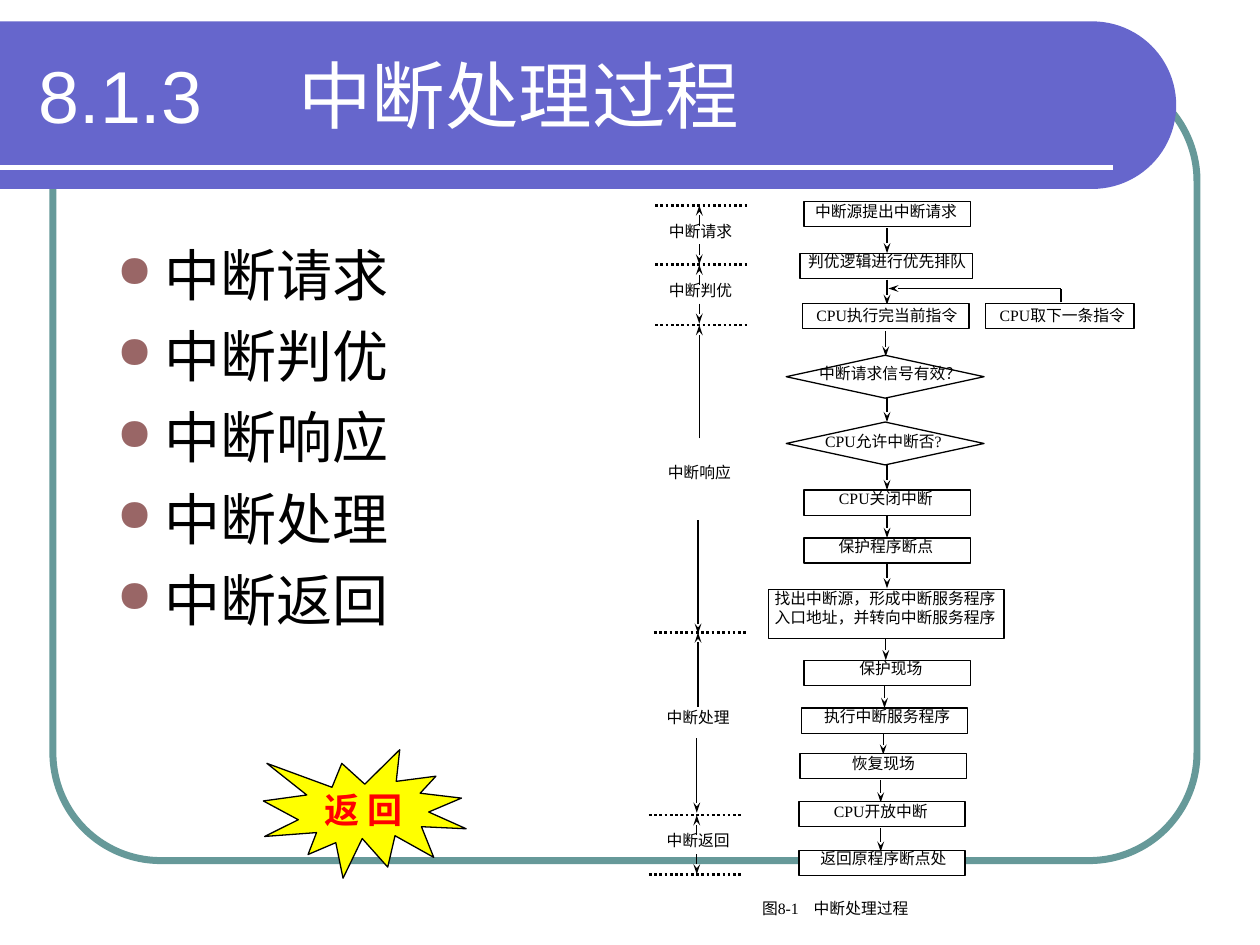
from dataclasses import dataclass
from math import cos, pi, sin

from lxml import etree
from pptx import Presentation
from pptx import util as u
from pptx.dml.color import RGBColor
from pptx.enum import dml, shapes, text
from pptx.oxml import ns

KIND = shapes.MSO_SHAPE
SIDE = text.PP_ALIGN
LEFT, MID, JUST = SIDE.LEFT, SIDE.CENTER, SIDE.JUSTIFY


@dataclass(frozen=True)
class Theme:
    """Colours, fonts and type sizes."""
    band: str = "6666CC"
    frame: str = "669999"
    dot: str = "996666"
    white: str = "FFFFFF"
    black: str = "000000"
    star: str = "FFFF00"
    red: str = "FF0000"
    sans: str = "Arial"
    serif: str = "Times New Roman"
    cjk: str = "Noto Sans CJK SC"
    title: int = 42
    body: int = 32
    back: int = 20
    note: int = 9
    thin: float = 0.75


T = Theme()

BULLETS = ["中断请求", "中断判优", "中断响应", "中断处理", "中断返回"]

# kind, box (left, top, width, height), label, label place (left, top, width), alignment
STEPS = [
    (KIND.RECTANGLE, (6.38, 1.6, 1.32, 0.2), "中断源提出中断请求", (6.37, 1.55, 1.45), JUST),
    (KIND.RECTANGLE, (6.35, 2.01, 1.37, 0.2), "判优逻辑进行优先排队", (6.26, 1.95, 1.56), MID),
    (KIND.RECTANGLE, (6.37, 2.41, 1.32, 0.2), "CPU执行完当前指令", (6.38, 2.38, 1.45), JUST),
    (KIND.RECTANGLE, (7.82, 2.41, 1.18, 0.2), "CPU取下一条指令", (7.77, 2.38, 1.32), MID),
    (KIND.DIAMOND, (6.24, 2.82, 1.57, 0.34), "中断请求信号有效？", (6.25, 2.84, 1.63), MID),
    (KIND.DIAMOND, (6.24, 3.35, 1.57, 0.34), "CPU允许中断否?", (6.45, 3.38, 1.32), JUST),
    (KIND.RECTANGLE, (6.38, 3.89, 1.32, 0.2), "CPU关闭中断", (6.37, 3.83, 1.32), MID),
    (KIND.RECTANGLE, (6.38, 4.27, 1.32, 0.2), "保护程序断点", (6.37, 4.21, 1.32), MID),
    (KIND.RECTANGLE, (6.1, 4.68, 1.87, 0.39), "找出中断源，形成中断服务程序", (6.05, 4.62, 2), JUST),
    (None, None, "入口地址，并转向中断服务程序", (6.05, 4.77, 2.25), JUST),
    (KIND.RECTANGLE, (6.38, 5.24, 1.32, 0.2), "保护现场", (6.41, 5.18, 1.32), MID),
    (KIND.RECTANGLE, (6.36, 5.62, 1.32, 0.2), "执行中断服务程序", (6.38, 5.56, 1.32), MID),
    (KIND.RECTANGLE, (6.35, 5.98, 1.32, 0.2), "恢复现场", (6.35, 5.93, 1.32), MID),
    (KIND.RECTANGLE, (6.34, 6.36, 1.32, 0.2), "CPU开放中断", (6.33, 6.31, 1.32), MID),
    (KIND.RECTANGLE, (6.34, 6.75, 1.32, 0.2), "返回原程序断点处", (6.35, 6.69, 1.32), MID),
]

# x, top, bottom
FLOWS = [
    (7.04, 1.81, 2.01), (7.04, 2.22, 2.42), (7.03, 2.63, 2.83), (7.04, 3.16, 3.35),
    (7.04, 3.69, 3.89), (7.04, 4.08, 4.27), (7.04, 4.47, 4.67), (7.03, 5.06, 5.24),
    (7.02, 5.44, 5.62), (7.01, 5.81, 5.99), (6.99, 6.19, 6.37), (6.99, 6.57, 6.76),
]

# upper x, lower x, top, bottom, arrow length, label top
STAGES = [
    (5.55, 5.55, 1.63, 2.1, 0.16, 1.71),
    (5.55, 5.55, 2.1, 2.57, 0.16, 2.18),
    (5.55, 5.54, 2.58, 5.03, 0.9, 3.62),
    (5.54, 5.53, 5.02, 6.45, 0.59, 5.57),
    (5.53, 5.53, 6.47, 6.94, 0.16, 6.54),
]
TICKS = [(5.2, 1.63), (5.2, 2.1), (5.2, 2.58), (5.19, 5.02), (5.15, 6.47), (5.15, 6.94)]


def node(top, tag, **attrs):
    """Append a drawing element and return it."""
    return etree.SubElement(top, ns.qn("a:" + tag), attrs)


def paint(shape, fill, line=None, width=T.thin):
    """Set fill and outline, without shadow."""
    shape.shadow.inherit = False
    if fill:
        shape.fill.solid()
        shape.fill.fore_color.rgb = RGBColor.from_string(fill)
    else:
        shape.fill.background()
    if line:
        shape.line.color.rgb = RGBColor.from_string(line)
        shape.line.width = u.Pt(width)
    else:
        shape.line.fill.background()
    return shape


def form(slide, kind, box, fill, line, width=T.thin):
    """Add a preset shape."""
    return paint(slide.shapes.add_shape(kind, *map(u.Inches, box)), fill, line, width)


def write(para, words, size, font, color, bold=False):
    """Add one run to a paragraph."""
    run = para.add_run()
    run.text = words
    run.font.size, run.font.name, run.font.bold = u.Pt(size), font, bold
    run.font.color.rgb = RGBColor.from_string(color)
    return run


def frame(slide, box):
    """Add a wrapping text box and return its frame."""
    area = slide.shapes.add_textbox(*map(u.Inches, box)).text_frame
    area.word_wrap = True
    return area


def label(slide, words, place, align):
    """Add a small line of text."""
    para = frame(slide, (*place, 0.32)).paragraphs[0]
    para.alignment = align
    write(para, words, T.note, T.serif, T.black)
    return para


def stop(para, gap):
    """Set a left tab stop."""
    tabs = node(para._p.get_or_add_pPr(), "tabLst")
    node(tabs, "tab", pos=str(u.Inches(gap)), algn="l")


def rule(slide, x1, y1, x2, y2, color=T.black, width=T.thin, head=False, dash=None):
    """Add a straight line, with an arrowhead at its end if asked."""
    ends = map(u.Inches, (x1, y1, x2, y2))
    line = slide.shapes.add_connector(shapes.MSO_CONNECTOR.STRAIGHT, *ends)
    line.line.color.rgb = RGBColor.from_string(color)
    line.line.width = u.Pt(width)
    if dash:
        line.line.dash_style = dash
    if head:
        node(line.line._get_or_add_ln(), "tailEnd", type="stealth", w="sm", len="med")
    node(line._element.spPr, "effectLst")


def banner(slide):
    """Draw the frame, the round-ended band and the title."""
    edge = form(slide, KIND.ROUNDED_RECTANGLE, (0.42, 0.58, 9.08, 6.25), None, T.frame, 4)
    edge.adjustments[0] = 0.137
    x, top, low = 8.67, 0.17, 1.5
    rad, mid, count = (low - top) / 2, (low + top) / 2, 48
    turns = [pi * i / count for i in range(count + 1)]
    arc = [(u.Inches(x + rad * sin(a)), u.Inches(mid - rad * cos(a))) for a in turns]
    pen = slide.shapes.build_freeform(0, u.Inches(top))
    pen.add_line_segments([*arc, (0, u.Inches(low))], close=True)
    paint(pen.convert_to_shape(), T.band)
    rule(slide, 0, 1.33, 8.83, 1.33, T.white, 3)
    area = frame(slide, (0.21, 0.25, 8.77, 1))
    area.vertical_anchor = text.MSO_ANCHOR.MIDDLE
    stop(area.paragraphs[0], 2.06)
    write(area.paragraphs[0], "8.1.3\t中断处理过程", T.title, T.sans, T.white)


def bullets(slide):
    """List the stages as bullets."""
    area = frame(slide, (0.83, 1.86, 3.23, 3.54))
    for i, words in enumerate(BULLETS):
        para = area.add_paragraph() if i else area.paragraphs[0]
        para.space_before = u.Pt(8)
        props = para._p.get_or_add_pPr()
        props.set("marL", str(u.Inches(0.38)))
        props.set("indent", str(-u.Inches(0.38)))
        node(node(props, "buClr"), "srgbClr", val=T.dot)
        node(props, "buSzPct", val="80000")
        node(props, "buChar", char="●")
        write(para, words, T.body, T.sans, T.black)


def chart(slide):
    """Draw the flow of steps and its caption."""
    for x, top, low in FLOWS:
        rule(slide, x, top, x, low, head=True)
    for kind, box, words, place, align in STEPS:
        if kind:
            form(slide, kind, box, T.white, T.black)
        label(slide, words, place, align)
    rule(slide, 8.42, 2.4, 8.42, 2.29)
    rule(slide, 8.42, 2.29, 7.05, 2.29, head=True)
    stop(label(slide, "图8-1\t中断处理过程", (5.95, 7.08, 1.75), LEFT), 0.41)


def scale(slide):
    """Draw the dotted marks and the span of each stage."""
    for x, y in TICKS:
        rule(slide, x, y, x + 0.75, y, width=1.5, dash=dml.MSO_LINE.ROUND_DOT)
    for words, (x1, x2, top, low, size, y) in zip(BULLETS, STAGES):
        rule(slide, x1, top + size, x1, top, head=True)
        rule(slide, x2, low - size, x2, low, head=True)
        label(slide, words, (x2 - 0.49, y, 1), MID)


def seal(slide):
    """Draw the star that leads back."""
    star = form(slide, KIND.EXPLOSION1, (2.09, 5.95, 1.61, 1.02), T.star, T.black)
    area = star.text_frame
    area.word_wrap = False
    area.vertical_anchor = text.MSO_ANCHOR.MIDDLE
    para = area.paragraphs[0]
    para.alignment = MID
    run = write(para, "返 回", T.back, T.cjk, T.red, True)
    node(run._r.get_or_add_rPr(), "ea", typeface=T.cjk)


def main():
    """Build and save the slide."""
    deck = Presentation()
    deck.slide_width, deck.slide_height = u.Inches(10), u.Inches(7.5)
    slide = deck.slides.add_slide(deck.slide_layouts[6])
    for draw in (banner, bullets, chart, scale, seal):
        draw(slide)
    deck.save("out.pptx")


if __name__ == "__main__":
    main()
